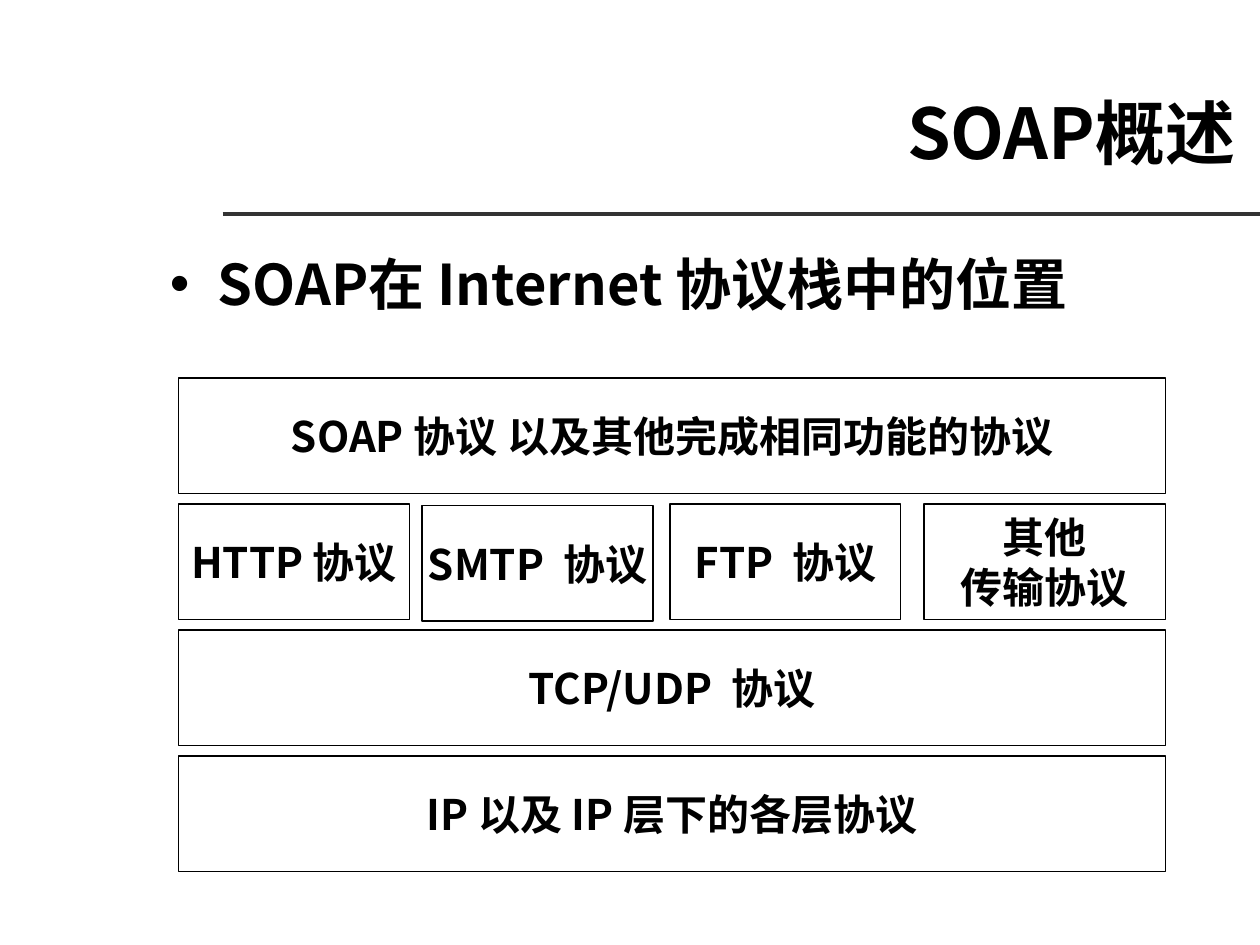
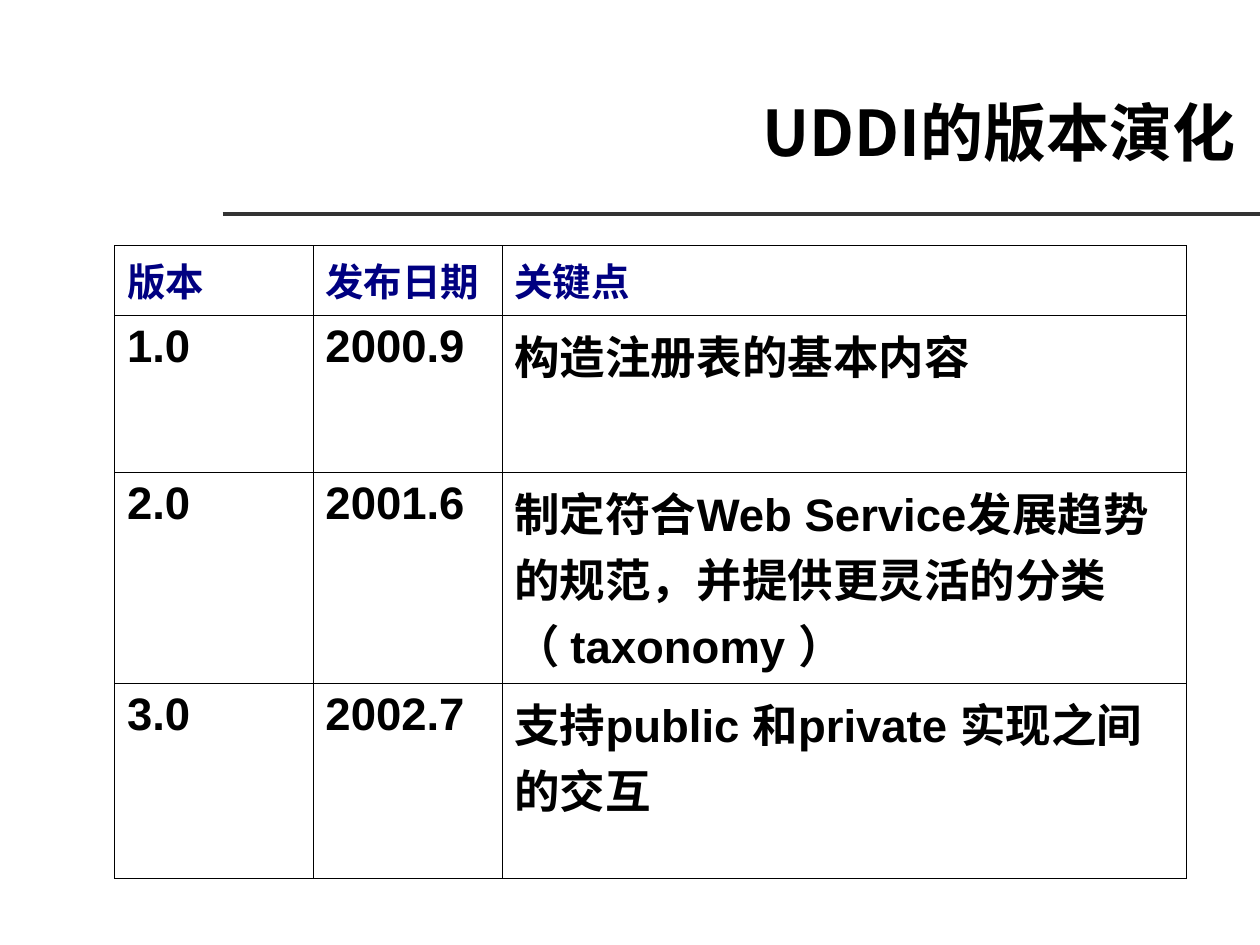
import pptx
import pptx.util
import pptx.dml.color
import pptx.enum.shapes
import pptx.enum.text
import pptx.oxml
import pptx.oxml.ns

# Shared style
BLACK = pptx.dml.color.RGBColor(0x00, 0x00, 0x00)
RULE_GRAY = pptx.dml.color.RGBColor(0x33, 0x33, 0x33)
HEADER_NAVY = pptx.dml.color.RGBColor(0x00, 0x00, 0x81)
CJK_FONT = "Noto Sans CJK SC"
LATIN_FONT = "Arial"
COLS, ROWS = 120, 90  # grid over the whole slide

ALIGN = pptx.enum.text.PP_ALIGN
ANCHOR = pptx.enum.text.MSO_ANCHOR
Pt = pptx.util.Pt


def add_xml(parent, tag, **attrs):
    """Append a DrawingML child element and return it."""
    el = parent.makeelement(pptx.oxml.ns.qn(tag), attrs)
    parent.append(el)
    return el


class Deck:
    """Holds the style and the current slide."""

    def __init__(self):
        self.prs = pptx.Presentation()
        self.prs.slide_width = pptx.util.Inches(10)
        self.prs.slide_height = pptx.util.Inches(7.5)
        self.s = None

    def x(self, cols):
        return round(self.prs.slide_width * cols / COLS)

    def y(self, rows):
        return round(self.prs.slide_height * rows / ROWS)

    def box(self, left, top, width, height):
        return self.x(left), self.y(top), self.x(width), self.y(height)

    def add_lines(self, tf, lines, size, align=ALIGN.LEFT, color=BLACK, font=CJK_FONT):
        for i, line in enumerate(lines):
            p = tf.add_paragraph() if i else tf.paragraphs[0]
            p.alignment = align
            r = p.add_run()
            r.text = line
            r.font.size = Pt(size)
            r.font.bold = True
            r.font.name = font
            r.font.color.rgb = color
            add_xml(r.font._element, "a:ea", typeface=CJK_FONT)

    def text(self, content, place, size, align=ALIGN.LEFT):
        tf = self.s.shapes.add_textbox(*self.box(*place)).text_frame
        tf.word_wrap = True
        tf.vertical_anchor = ANCHOR.MIDDLE
        self.add_lines(tf, [content], size, align)
        return tf.paragraphs[0]

    def slide(self, title, size):
        self.s = self.prs.slides.add_slide(self.prs.slide_layouts[6])
        self.rule(21.2, 20.4, COLS)
        self.text(title, (21.2, 4.6, 97.6, 15.8), size, ALIGN.RIGHT)

    def rule(self, left, top, right):
        line = self.s.shapes.add_connector(
            pptx.enum.shapes.MSO_CONNECTOR.STRAIGHT,
            self.x(left), self.y(top), self.x(right), self.y(top))
        line.line.color.rgb = RULE_GRAY
        line.line.width = Pt(2.25)
        add_xml(line._element.spPr, "a:effectLst")

    def bullet(self, content, place, size):
        p = self.text(content, place, size)
        pPr = p._p.get_or_add_pPr()
        indent = pptx.util.Inches(0.38)
        pPr.set("marL", str(indent))
        pPr.set("indent", str(-indent))
        add_xml(pPr, "a:buFont", typeface=LATIN_FONT)
        add_xml(pPr, "a:buChar", char="•")

    def layer(self, lines, left, top, width, height):
        sp = self.s.shapes.add_shape(
            pptx.enum.shapes.MSO_SHAPE.RECTANGLE, *self.box(left, top, width, height))
        sp.shadow.inherit = False
        sp.fill.background()
        sp.line.color.rgb = BLACK
        sp.line.width = Pt(0.75)
        tf = sp.text_frame
        tf.word_wrap = False
        tf.vertical_anchor = ANCHOR.MIDDLE
        self.add_lines(tf, lines, 24, ALIGN.CENTER)

    def border(self, cell):
        tcPr = cell._tc.get_or_add_tcPr()
        for side in ("a:lnL", "a:lnR", "a:lnT", "a:lnB"):
            ln = add_xml(tcPr, side, w=str(Pt(0.45)))
            add_xml(add_xml(ln, "a:solidFill"), "a:srgbClr", val=str(BLACK))

    def table(self, data, left, top, widths, heights):
        place = self.box(left, top, sum(widths), sum(heights))
        table = self.s.shapes.add_table(len(data), len(widths), *place).table
        table.horz_banding = False
        for col, width in zip(table.columns, widths):
            col.width = self.x(width)
        for row, height in zip(table.rows, heights):
            row.height = self.y(height)
        for i, values in enumerate(data):
            size, color = (26, BLACK) if i else (22, HEADER_NAVY)
            for j, value in enumerate(values):
                cell = table.cell(i, j)
                self.border(cell)
                cell.fill.background()
                self.add_lines(cell.text_frame, [value], size, color=color, font=LATIN_FONT)


def protocol_stack(deck):
    deck.slide("SOAP概述", 40)
    deck.bullet("SOAP在 Internet 协议栈中的位置", (15, 23, 102, 8), 32)

    # Four layers, 12 rows apart
    left, width, height = 17, 94, 11
    soap, transport, tcp, ip = (36 + 12 * i for i in range(4))
    deck.layer(["SOAP 协议 以及其他完成相同功能的协议"], left, soap, width, height)
    for lines, x, y, w in (
        (["HTTP 协议"], left, transport, 22),
        (["SMTP  协议"], 40.2, transport + 0.15, 22),
        (["FTP  协议"], 63.8, transport, 22),
        (["其他", "传输协议"], 88, transport, 23),
    ):
        deck.layer(lines, x, y, w, height)
    deck.layer(["TCP/UDP  协议"], left, tcp, width, height)
    deck.layer(["IP 以及 IP 层下的各层协议"], left, ip, width, height)


def uddi_versions(deck):
    deck.slide("UDDI的版本演化", 36)
    deck.table(
        [
            ("版本", "发布日期", "关键点"),
            ("1.0", "2000.9", "构造注册表的基本内容"),
            ("2.0", "2001.6",
             "制定符合Web Service发展趋势的规范，并提供更灵活的分类（ taxonomy ）"),
            ("3.0", "2002.7", "支持public 和private 实现之间的交互"),
        ],
        10.9, 23.4, widths=(18.9, 18, 65.2), heights=(6.6, 15, 20.1, 18.6))


def main():
    deck = Deck()
    protocol_stack(deck)
    uddi_versions(deck)
    deck.prs.save("out.pptx")


if __name__ == "__main__":
    main()
